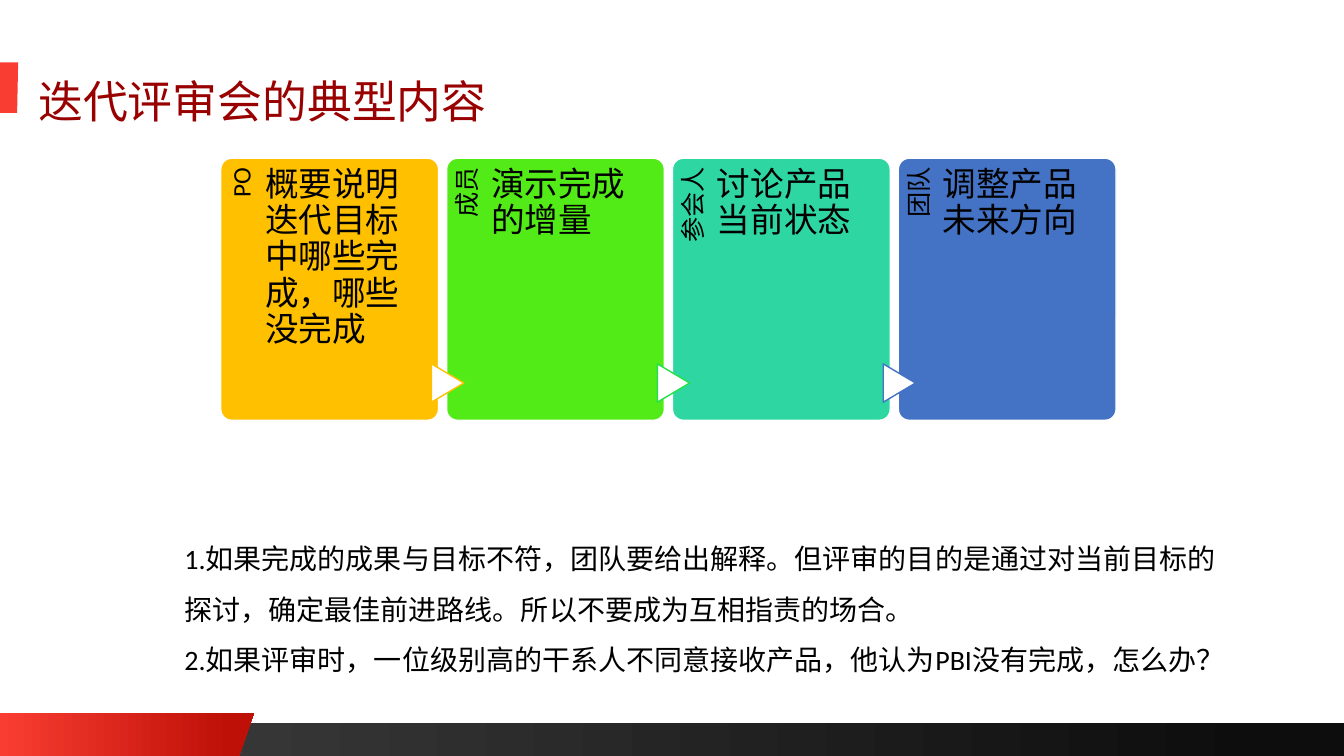
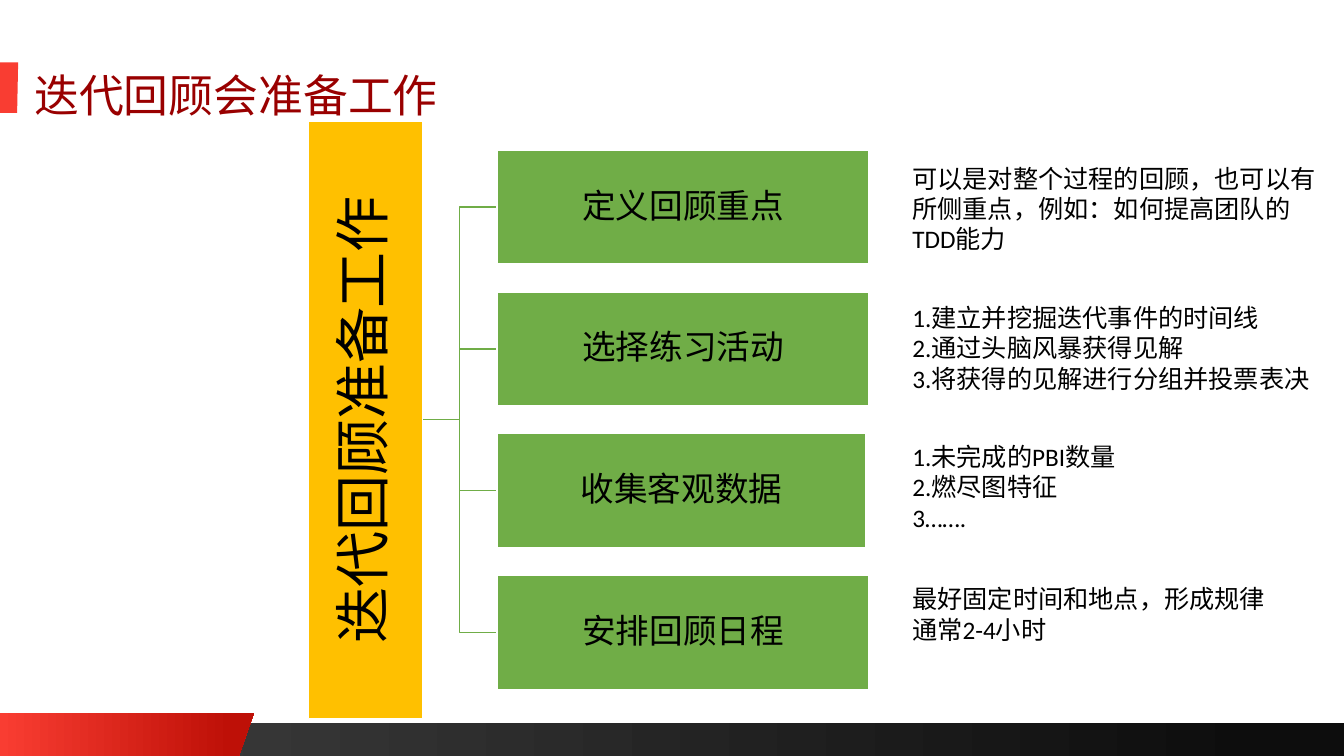
from lxml import etree
from pptx import Presentation
from pptx.dml.color import RGBColor
from pptx.enum import shapes, text
from pptx.oxml.ns import qn
from pptx.util import Inches, Pt

COLORS = {
    "white": "FFFFFF", "black": "000000", "title": "990000",
    "red": "F93D32", "dark_red": "BE1007", "grey": "404040", "dark": "0D0D0D",
    "amber": "FFC000", "lime": "53EB17", "teal": "2ED7A1", "blue": "4472C4",
    "green": "70AD47", "arrow_green": "23E148",
}
SHAPE = shapes.MSO_SHAPE
LEFT, CENTER, RIGHT = text.PP_ALIGN.LEFT, text.PP_ALIGN.CENTER, text.PP_ALIGN.RIGHT
TOP, MIDDLE = text.MSO_ANCHOR.TOP, text.MSO_ANCHOR.MIDDLE
INSETS = (0.1, 0.05, 0.1, 0.05)


def rgb(name):
    return RGBColor.from_string(COLORS[name])


def paint(sp, fill, line=None):
    """Give a shape a solid fill, or a gradient for a list of (position, colour)."""
    sp.shadow.inherit = False
    if isinstance(fill, str):
        sp.fill.solid()
        sp.fill.fore_color.rgb = rgb(fill)
    else:
        sp.fill.gradient()
        sp.fill.gradient_angle = 0
        for stop, (position, color) in zip(sp.fill.gradient_stops, fill):
            stop.position = position
            stop.color.rgb = rgb(color)
    if line:
        sp.line.color.rgb = rgb(line)
        sp.line.width = Pt(1)
    else:
        sp.line.fill.background()


def write(sp, lines, size, align=LEFT, anchor=TOP, insets=INSETS, spacing=1.0,
          font="Calibri", color="black", grow=False):
    tf = sp.text_frame
    tf.word_wrap = True
    tf.auto_size = (text.MSO_AUTO_SIZE.SHAPE_TO_FIT_TEXT if grow
                    else text.MSO_AUTO_SIZE.NONE)
    tf.vertical_anchor = anchor
    tf.margin_left, tf.margin_top, tf.margin_right, tf.margin_bottom = map(Inches, insets)
    for i, line in enumerate(lines):
        p = tf.add_paragraph() if i else tf.paragraphs[0]
        p.text = line
        p.alignment = align
        p.line_spacing = spacing
        p.font.size = Pt(size)
        p.font.name = font
        p.font.color.rgb = rgb(color)


def add_box(s, kind, at, fill, line=None, rotation=0):
    sp = s.shapes.add_shape(kind, *map(Inches, at))
    paint(sp, fill, line)
    sp.rotation = rotation
    return sp


def add_text(s, at, lines, size, rotation=0, **style):
    sp = s.shapes.add_textbox(*map(Inches, at))
    sp.rotation = rotation
    write(sp, lines, size, **style)


def add_outline(s, points, fill):
    corners = [(Inches(x), Inches(y)) for x, y in points]
    builder = s.shapes.build_freeform(*corners[0])
    builder.add_line_segments(corners[1:])
    paint(builder.convert_to_shape(), fill)


def add_elbow(s, start, end, color):
    line = s.shapes.add_connector(shapes.MSO_CONNECTOR.ELBOW, *map(Inches, start + end))
    line.line.color.rgb = rgb(color)
    line.line.width = Pt(1)
    etree.SubElement(line._element.spPr, qn("a:effectLst"))


def add_slide(prs, title, title_at):
    """Add a slide with the shared footer band, red tab and title style."""
    s = prs.slides.add_slide(prs.slide_layouts[5])
    add_box(s, SHAPE.RECTANGLE, (0, 7.17, 13.33, 0.33), [(0, "grey"), (0.94, "dark")])
    add_outline(s, [(0, 7.07), (2.52, 7.07), (2.37, 7.5), (0, 7.5)],
                [(0, "red"), (0.91, "dark_red")])
    add_outline(s, [(0, 0.62), (0.18, 0.62), (0.17, 1.12), (0, 1.12)], "red")
    sp = s.shapes.title
    sp.left, sp.top, sp.width, sp.height = map(Inches, title_at)
    write(sp, [title], 32, insets=(0.09, 0.04, 0.09, 0.04), spacing=1.1,
          font="Roboto", color="title", grow=True)
    return s


def add_review_slide(prs):
    s = add_slide(prs, "迭代评审会的典型内容", (0.29, 0.64, 6.23, 0.71))

    # Process cards: who, what, card colour, colour of the arrow leading in
    cards = [
        ("PO", "概要说明迭代目标中哪些完成，哪些没完成", "amber", None),
        ("成员", "演示完成的增量", "lime", "amber"),
        ("参会人", "讨论产品当前状态", "teal", "arrow_green"),
        ("团队", "调整产品未来方向", "blue", "blue"),
    ]
    top, height, pitch = 1.57, 2.6, 2.24
    for i, (who, what, color, arrow) in enumerate(cards):
        left = 2.19 + i * pitch
        card = add_box(s, SHAPE.ROUNDED_RECTANGLE, (left, top, 2.16, height), color, "white")
        card.adjustments[0] = 0.05
        add_text(s, (left - 0.84, 2.42, 2.13, 0.43), [who], 18, rotation=270,
                 align=RIGHT, insets=(0, 0.07, 0.09, 0), spacing=0.9)
        if arrow:
            add_box(s, SHAPE.FLOWCHART_EXTRACT, (left - 0.18, 3.64, 0.38, 0.32),
                    "white", arrow, rotation=90)
        add_text(s, (left + 0.44, top, 1.61, height), [what], 24,
                 insets=(0, 0.09, 0, 0), spacing=0.9)

    # Discussion points
    add_text(s, (1.73, 5.16, 10.51, 1.62), [
        "1.如果完成的成果与目标不符，团队要给出解释。但评审的目的是通过对当前目标的探讨，"
        "确定最佳前进路线。所以不要成为互相指责的场合。",
        "2.如果评审时，一位级别高的干系人不同意接收产品，他认为PBI没有完成，怎么办？",
    ], 20, spacing=1.5, grow=True)


def add_retrospective_slide(prs):
    s = add_slide(prs, "迭代回顾会准备工作", (0.25, 0.58, 6.38, 0.69))

    # Steps: name, box width, then top, width and lines of the note
    steps = [
        ("定义回顾重点", 3.69, 1.57, 4.27,
         ["可以是对整个过程的回顾，也可以有所侧重点，例如：如何提高团队的TDD能力"]),
        ("选择练习活动", 3.69, 2.95, 4.18,
         ["1.建立并挖掘迭代事件的时间线", "2.通过头脑风暴获得见解",
          "3.将获得的见解进行分组并投票表决"]),
        ("收集客观数据", 3.66, 4.33, 2.24,
         ["1.未完成的PBI数量", "2.燃尽图特征", "3……."]),
        ("安排回顾日程", 3.69, 5.74, 3.74,
         ["最好固定时间和地点，形成规律", "通常2-4小时"]),
    ]
    left, height, pitch = 4.93, 1.13, 1.407
    for i, (name, width, note_top, note_width, note) in enumerate(steps):
        top = 1.49 + i * pitch
        add_elbow(s, (4.19, 4.16), (left, top + height / 2), "green")
        box = add_box(s, SHAPE.RECTANGLE, (left, top, width, height), "green", "white")
        write(box, [name], 24, CENTER, MIDDLE, (0.02,) * 4, 0.9)
        add_text(s, (8.95, note_top, note_width, 1.01), note, 18, grow=True)

    # Root of the tree
    root = add_box(s, SHAPE.RECTANGLE, (0.66, 3.6, 5.93, height), "amber", "white", 270)
    write(root, ["迭代回顾准备工作"], 40, CENTER, MIDDLE, (0.03,) * 4, 0.9)


def main():
    prs = Presentation()
    prs.slide_width, prs.slide_height = Inches(13.33), Inches(7.5)
    add_review_slide(prs)
    add_retrospective_slide(prs)
    prs.save("out.pptx")


if __name__ == "__main__":
    main()
